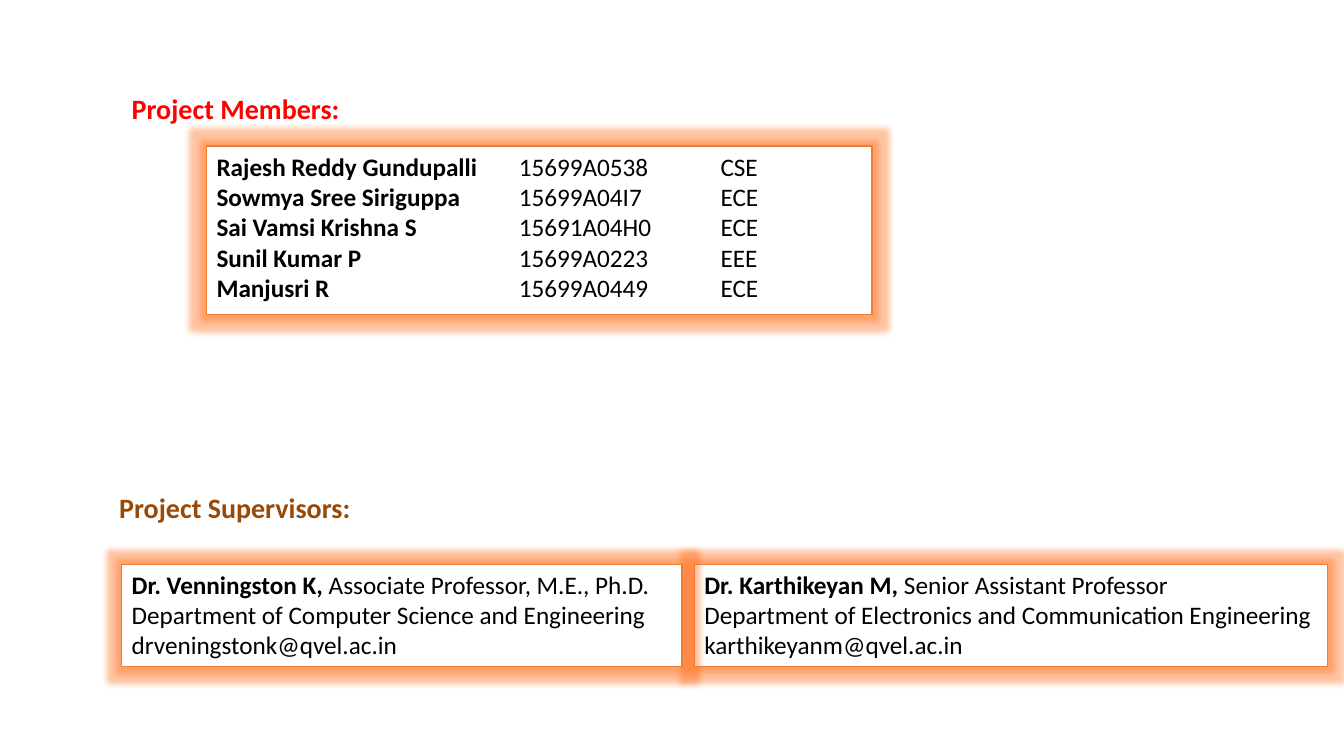
import pptx
import pptx.util
import pptx.dml.color
import pptx.enum.shapes
import pptx.enum.text
import pptx.oxml
import pptx.oxml.ns

Pt = pptx.util.Pt
Qn = pptx.oxml.ns.qn

EDGE = "ED7D31"
GLOW = "FF6D1A"
TABS = [216, 360]

heads = [
    ("Project Members:", "FF0000", (87, 62, 640, 32)),
    ("Project Supervisors:", "994806", (78, 347, 409, 32)),
]

team = [
    ("Rajesh Reddy Gundupalli", "15699A0538", "CSE"),
    ("Sowmya Sree Siriguppa", "15699A04I7", "ECE"),
    ("Sai Vamsi Krishna S", "15691A04H0", "ECE"),
    ("Sunil Kumar P", "15699A0223", "EEE"),
    ("Manjusri R", "15699A0449", "ECE"),
]

guides = [
    ("Dr. Karthikeyan M, ", "Senior Assistant Professor",
     "Department of Electronics and Communication Engineering",
     "karthikeyanm@qvel.ac.in"),
    ("Dr. Venningston K, ", "Associate Professor, M.E., Ph.D.",
     "Department of Computer Science and Engineering",
     "drveningstonk@qvel.ac.in"),
]
spots = [(496, 403, 452.2, 73), (87, 403, 400.3, 73)]


def tint(code):
    return pptx.dml.color.RGBColor.from_string(code)


def write(shape, lines, size=18, color="000000", tabs=()):
    frame = shape.text_frame
    frame.word_wrap = True
    frame.vertical_anchor = pptx.enum.text.MSO_ANCHOR.TOP
    for i, line in enumerate(lines):
        para = frame.add_paragraph() if i else frame.paragraphs[0]
        para.alignment = pptx.enum.text.PP_ALIGN.LEFT
        if tabs:
            stops = para._p.get_or_add_pPr().makeelement(Qn("a:tabLst"), {})
            para._p.pPr.append(stops)
            for stop in tabs:
                spot = {"pos": str(int(Pt(stop))), "algn": "l"}
                stops.append(stops.makeelement(Qn("a:tab"), spot))
        for text, bold in line:
            run = para.add_run()
            run.text = text
            run.font.name = "Calibri"
            run.font.size = Pt(size)
            run.font.bold = bold
            run.font.color.rgb = tint(color)


def panel(slide, spot):
    box = slide.shapes.add_shape(
        pptx.enum.shapes.MSO_SHAPE.RECTANGLE, *map(Pt, spot))
    box.fill.solid()
    box.fill.fore_color.rgb = tint("FFFFFF")
    box.line.color.rgb = tint(EDGE)
    box.line.width = Pt(1)
    box.shadow.inherit = False
    glow = pptx.oxml.parse_xml(
        '<a:glow xmlns:a="http://schemas.openxmlformats.org/drawingml/2006/main"'
        f' rad="{int(Pt(8))}"><a:srgbClr val="{GLOW}">'
        '<a:alpha val="40000"/></a:srgbClr></a:glow>')
    box._element.spPr.find(Qn("a:effectLst")).append(glow)
    return box


def main():
    deck = pptx.Presentation()
    deck.slide_width, deck.slide_height = Pt(960), Pt(540)
    slide = deck.slides.add_slide(deck.slide_layouts[6])
    for text, color, spot in heads:
        box = slide.shapes.add_textbox(*map(Pt, spot))
        write(box, [[(text, True)]], size=20, color=color)
    for (name, role, dept, mail), spot in zip(guides, spots):
        lines = [[(name, True), (role, False)], [(dept, False)], [(mail, False)]]
        write(panel(slide, spot), lines)
    rows = [[(name, True), (f"\t{roll}\t{dept}", False)]
            for name, roll, dept in team]
    write(panel(slide, (147.6, 104.4, 475.2, 120.2)), rows, tabs=TABS)
    deck.save("out.pptx")


if __name__ == "__main__":
    main()
